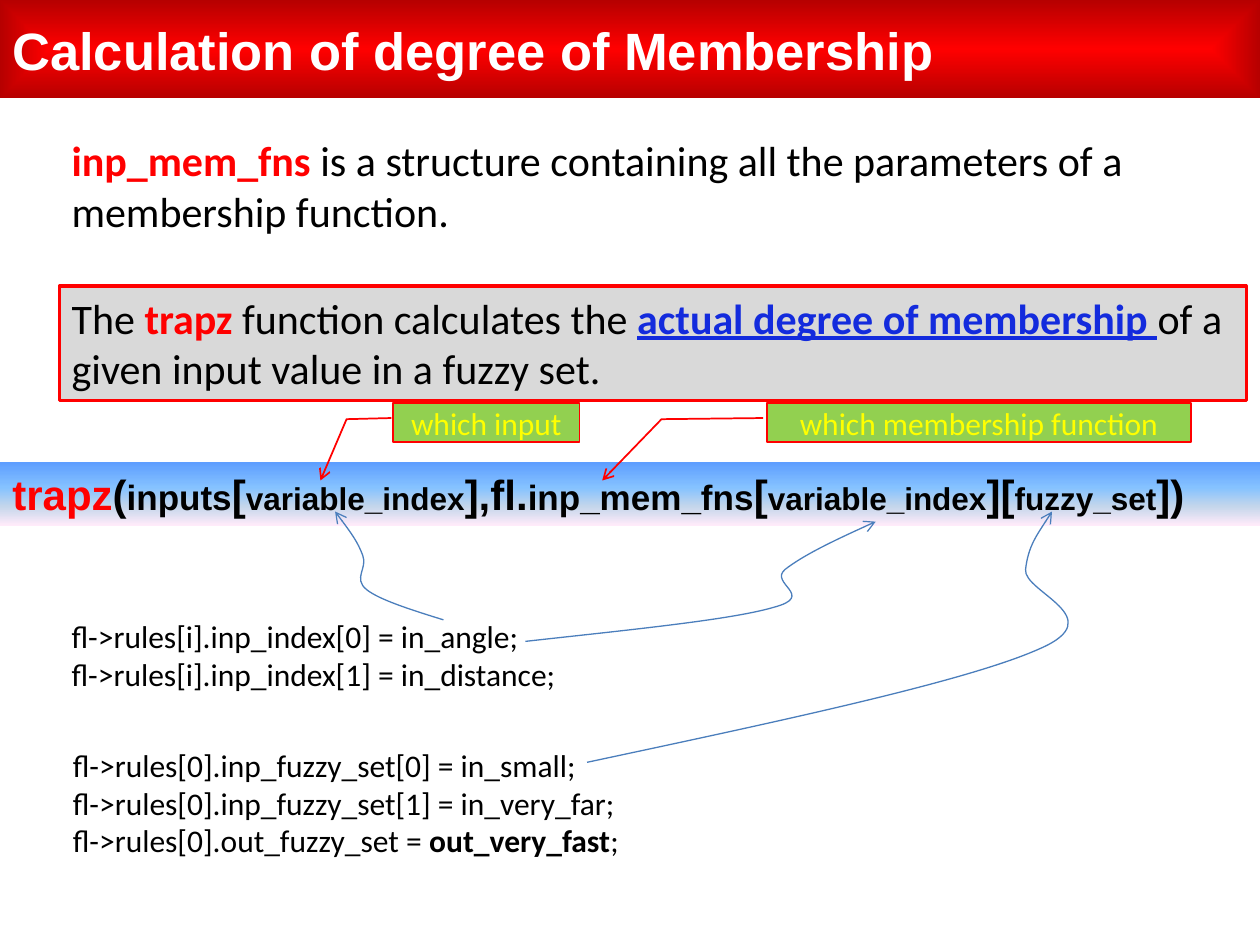
from lxml.etree import SubElement
from pptx import Presentation
from pptx.dml.color import RGBColor
from pptx.enum.shapes import MSO_SHAPE as Preset
from pptx.enum.text import MSO_ANCHOR as Anchor, MSO_AUTO_SIZE as AutoSize, PP_ALIGN as Align
from pptx.oxml import parse_xml
from pptx.oxml.ns import nsdecls, qn
from pptx.util import Inches, Pt

hex_color = RGBColor.from_string

deck = Presentation()
deck.slide_width, deck.slide_height = Inches(10), Inches(7.5)
slide = deck.slides.add_slide(deck.slide_layouts[6])
shapes = slide.shapes
COL, ROW = deck.slide_width / 100, deck.slide_height / 75


def grid(*cells):
    return [round(cell * (ROW if i % 2 else COL)) for i, cell in enumerate(cells)]


def write(paragraph, text, size=24, color="000000", bold=False, font="Calibri", underline=False):
    run = paragraph.add_run()
    run.text = text
    run.font.name, run.font.size = font, Pt(size)
    run.font.bold, run.font.underline = bold, underline
    run.font.color.rgb = hex_color(color)


title = shapes.add_shape(Preset.RECTANGLE, *grid(0, 0, 100, 7.8))
formula = shapes.add_shape(Preset.RECTANGLE, *grid(0, 36.7, 100, 5))
bands = [
    (title, [(0, "FF0000"), (100, "B60000")],
     '<a:path path="shape"><a:fillToRect l="50000" t="50000" r="50000" b="50000"/></a:path>'),
    (formula, [(0, "5E9EFF"), (40, "85C2FF"), (70, "C4D6EB"), (100, "FFEBFA")],
     '<a:lin ang="5400000" scaled="0"/>'),
]
for band, stops, direction in bands:
    band.shadow.inherit = False
    band.line.fill.background()
    band.fill.solid()
    stop_list = "".join(
        f'<a:gs pos="{share * 1000}"><a:srgbClr val="{color}"/></a:gs>' for share, color in stops
    )
    gradient = parse_xml(
        f'<a:gradFill {nsdecls("a")} rotWithShape="1"><a:gsLst>{stop_list}</a:gsLst>{direction}</a:gradFill>'
    )
    properties = band._element.spPr
    properties.replace(properties.find(qn("a:solidFill")), gradient)
    band.text_frame.paragraphs[0].alignment = Align.LEFT

title.text_frame.vertical_anchor = Anchor.MIDDLE
write(title.text_frame.paragraphs[0], "Calculation of degree of Membership",
      size=30, color="FFFFFF", bold=True, font="Arial")

formula.text_frame.vertical_anchor = Anchor.TOP
call = formula.text_frame.paragraphs[0]
write(call, "trapz", color="FF0000", bold=True, font="Arial")
for text, size in [
    ("(", 24), ("inputs", 20), ("[", 24), ("variable_index", 18), ("],fl.", 24),
    ("inp_mem_fns", 20), ("[", 24), ("variable_index", 18), ("][", 24),
    ("fuzzy_set", 18), ("])", 24),
]:
    write(call, text, size=size, bold=True, font="Arial")

curves = [
    ("headEnd", [(69.5, 41.4), (66.6, 42.7), (63.7, 44.1), (62.3, 45.2), (61, 46.3),
                 (64.8, 47.3), (61.4, 48.2), (58, 49.2), (49.8, 50), (41.7, 50.9)]),
    ("tailEnd", [(46.6, 60.5), (61.6, 57.3), (76.7, 54.1), (82.5, 51.5), (88.3, 49),
                 (81.2, 47), (81.4, 45.2), (81.6, 43.4), (82.6, 42), (83.5, 40.6)]),
    ("headEnd", [(26.6, 40.6), (27.5, 41.8), (28.4, 43), (28.8, 44.1), (29.2, 45.1),
                 (28, 45.9), (29.1, 46.8), (30.1, 47.6), (32.6, 48.4), (35.2, 49.2)]),
]
for arrow_end, points in curves:
    start, *rest = [grid(*point) for point in points]
    outline = shapes.build_freeform(*start)
    outline.add_line_segments(rest, close=False)
    curve = outline.convert_to_shape()
    curve.shadow.inherit = False
    curve.fill.background()
    curve.line.color.rgb = hex_color("4B7EBC")
    curve.line.width = Pt(0.75)
    properties = curve._element.spPr
    SubElement(properties.find(qn("a:ln")), qn(f"a:{arrow_end}"), type="arrow")
    route = properties.find(".//" + qn("a:path"))
    segments = route.findall(qn("a:lnTo"))
    for first in range(0, len(segments), 3):
        bezier = SubElement(route, qn("a:cubicBezTo"))
        for segment in segments[first:first + 3]:
            bezier.append(segment[0])
            route.remove(segment)

red = {"color": "FF0000", "bold": True}
code = {"size": 18}
notes = [
    ((4.8, 58.7, 50, 10.1), [
        [("fl->rules[0].inp_fuzzy_set[0] = in_small;", code)],
        [("fl->rules[0].inp_fuzzy_set[1] = in_very_far;", code)],
        [("fl->rules[0].out_fuzzy_set = ", code),
         ("out_very_fast", {"size": 18, "bold": True}), (";", code)],
    ]),
    ((4.7, 48.5, 50, 7.1), [
        [("fl->rules[i].inp_index[0] = in_angle;", code)],
        [("fl->rules[i].inp_index[1] = in_distance;", code)],
    ]),
    ((4.7, 10.2, 87, 9.1), [
        [("inp_mem_fns", red), (" is a structure containing all the parameters of a", {})],
        [("membership function.", {})],
    ]),
    ((4.7, 22.7, 94.2, 9.1), [
        [("The ", {}), ("trapz", red), (" function calculates the ", {}),
         ("actual degree of membership ", {"color": "132BDD", "bold": True, "underline": True}),
         ("of a", {})],
        [("given input value in a fuzzy set.", {})],
    ]),
]
for box, lines in notes:
    note = shapes.add_textbox(*grid(*box))
    frame = note.text_frame
    frame.word_wrap = True
    frame.auto_size = AutoSize.SHAPE_TO_FIT_TEXT
    for number, line in enumerate(lines):
        paragraph = frame.add_paragraph() if number else frame.paragraphs[0]
        for text, style in line:
            write(paragraph, text, **style)

definition = note
definition.fill.solid()
definition.fill.fore_color.rgb = hex_color("D9D9D9")
definition.line.color.rgb = hex_color("FF0000")
definition.line.width = Pt(1.75)

for left, width, label in [(31.2, 14.8, "which input"), (60.9, 33.6, "which membership function")]:
    callout = shapes.add_shape(Preset.LINE_CALLOUT_2, *grid(left, 32, width, 3.1))
    for index, bend in enumerate([0.38, -0.01, 0.41, -0.25, 1.98, -0.39]):
        callout.adjustments[index] = bend
    callout.shadow.inherit = False
    callout.fill.solid()
    callout.fill.fore_color.rgb = hex_color("92D050")
    callout.line.color.rgb = hex_color("FF0000")
    callout.line.width = Pt(1)
    SubElement(callout._element.spPr.find(qn("a:ln")), qn("a:tailEnd"), type="arrow")
    callout.text_frame.vertical_anchor = Anchor.MIDDLE
    callout.text_frame.paragraphs[0].alignment = Align.CENTER
    write(callout.text_frame.paragraphs[0], label, size=18, color="FFFF00")

deck.save("out.pptx")
